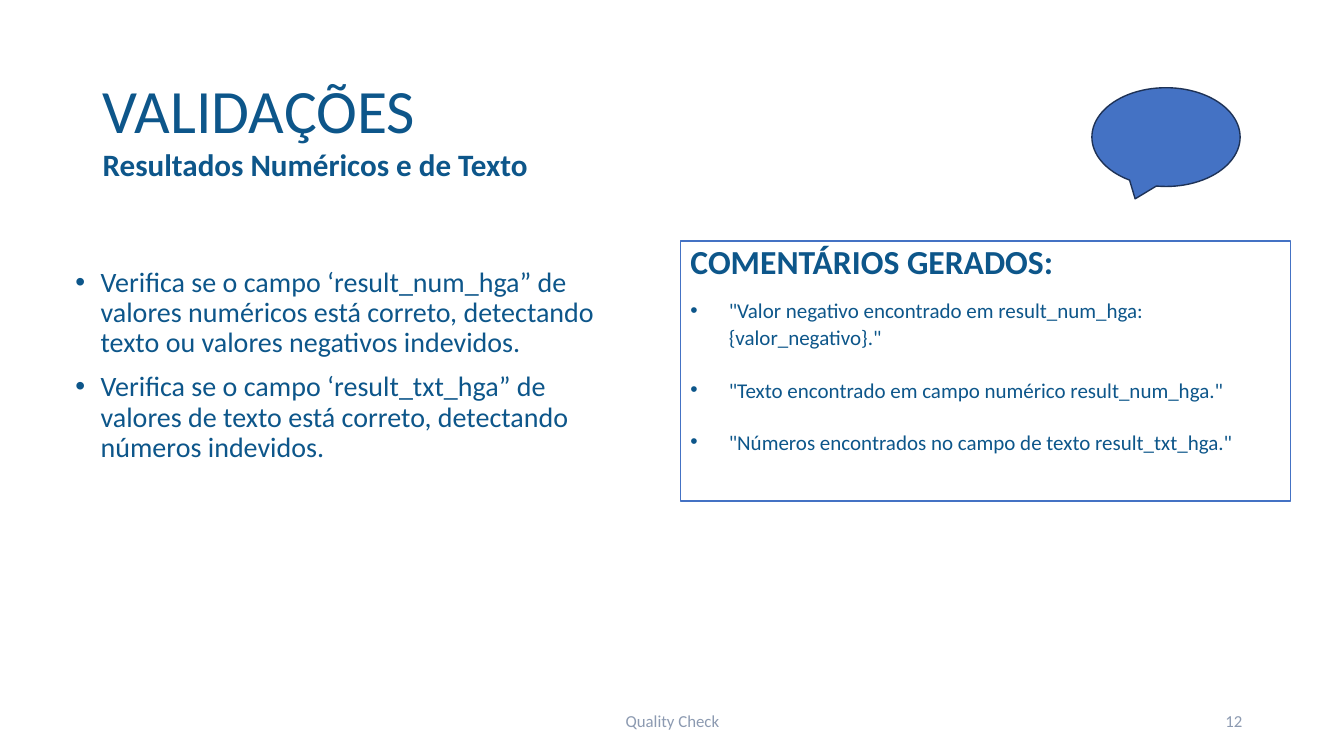
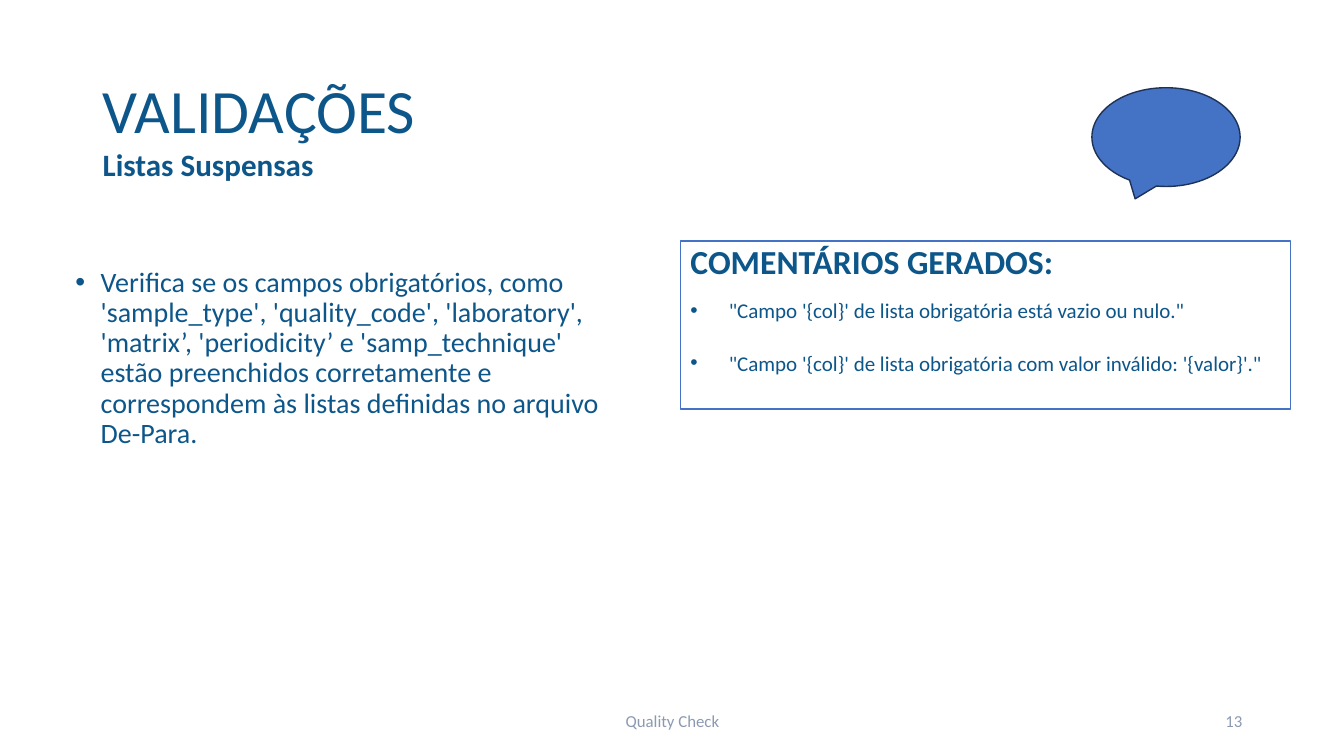
"""Build two slides on validation rules and the comments they generate."""
from dataclasses import dataclass

from lxml import etree
from pptx import Presentation
from pptx.dml.color import RGBColor
from pptx.enum import shapes, text
from pptx.oxml.ns import qn
from pptx.util import Inches, Pt


@dataclass(frozen=True)
class Theme:
    """Colours, font and type sizes shared by the slides."""
    font: str = "Calibri"
    ink: str = "0D568A"
    muted: str = "8C9AB1"
    accent: str = "4472C4"
    accent_edge: str = "1E3256"
    paper: str = "FFFFFF"
    title: float = 44
    subtitle: float = 22.2
    heading: float = 24
    body: float = 20
    comment: float = 15
    footer: float = 12


THEME = Theme()
FOOTER = "Quality Check"
FIRST_NUMBER = 12
SLIDES = [
    {
        "subtitle": "Resultados Numéricos e de Texto",
        "rules": [
            "Verifica se o campo ‘result_num_hga” de valores numéricos está correto, "
            "detectando texto ou valores negativos indevidos.",
            "Verifica se o campo ‘result_txt_hga” de valores de texto está correto, "
            "detectando números indevidos.",
        ],
        "comments": [
            '"Valor negativo encontrado em result_num_hga: {valor_negativo}."',
            '"Texto encontrado em campo numérico result_num_hga."',
            '"Números encontrados no campo de texto result_txt_hga."',
        ],
        "panel_height": 2.58,
    },
    {
        "subtitle": "Listas Suspensas",
        "rules": [
            "Verifica se os campos obrigatórios, como 'sample_type', 'quality_code', "
            "'laboratory', 'matrix’, 'periodicity’ e 'samp_technique' estão preenchidos "
            "corretamente e correspondem às listas definidas no arquivo De-Para.",
        ],
        "comments": [
            "\"Campo '{col}' de lista obrigatória está vazio ou nulo.\"",
            "\"Campo '{col}' de lista obrigatória com valor inválido: '{valor}'.\"",
        ],
        "panel_height": 1.67,
    },
]


def style(p, size, color=THEME.ink, bold=False, spacing=1.0, align=text.PP_ALIGN.LEFT):
    """Format a paragraph and its runs."""
    p.alignment = align
    p.line_spacing = spacing
    for r in p.runs:
        r.font.name = THEME.font
        r.font.size = Pt(size)
        r.font.bold = bold
        r.font.color.rgb = RGBColor.from_string(color)


def add_bullet(p, indent):
    """Give a paragraph a hanging round bullet."""
    pPr = p._p.get_or_add_pPr()
    pPr.set("marL", str(Inches(indent)))
    pPr.set("indent", str(-Inches(indent)))
    etree.SubElement(pPr, qn("a:buFont")).set("typeface", "Arial")
    etree.SubElement(pPr, qn("a:buChar")).set("char", "•")


def fill_frame(tf, lines, anchor=text.MSO_ANCHOR.TOP):
    """Write one paragraph per line and return the paragraphs."""
    tf.text = "\n".join(lines)
    tf.word_wrap = True
    tf.auto_size = text.MSO_AUTO_SIZE.NONE
    tf.vertical_anchor = anchor
    for p in tf.paragraphs[1:]:
        p.space_before = Pt(10)
    return tf.paragraphs


def add_text(s, box, lines, anchor=text.MSO_ANCHOR.TOP):
    """Add a text box and return its paragraphs."""
    sp = s.shapes.add_textbox(*map(Inches, box))
    return fill_frame(sp.text_frame, lines, anchor)


def add_shape(s, kind, box, fill, line):
    """Add a flat preset shape with a thin outline."""
    sp = s.shapes.add_shape(kind, *map(Inches, box))
    sp.shadow.inherit = False
    sp.fill.solid()
    sp.fill.fore_color.rgb = RGBColor.from_string(fill)
    sp.line.color.rgb = RGBColor.from_string(line)
    sp.line.width = Pt(1)
    return sp


def add_header(s, subtitle):
    """Place the title, the subtitle and the speech balloon."""
    sp = s.shapes.title
    sp.left, sp.top, sp.width, sp.height = map(Inches, (0.92, 0.4, 11.5, 1.45))
    p = fill_frame(sp.text_frame, ["VALIDAÇÕES"], text.MSO_ANCHOR.MIDDLE)[0]
    style(p, THEME.title, spacing=0.9)
    p = add_text(s, (0.92, 1.47, 9.8, 0.38), [subtitle], text.MSO_ANCHOR.BOTTOM)[0]
    style(p, THEME.subtitle, bold=True, spacing=0.7)
    add_shape(s, shapes.MSO_SHAPE.OVAL_CALLOUT, (10.83, 0.87, 1.47, 0.98),
              THEME.accent, THEME.accent_edge)


def add_rules(s, rules):
    """List the validation rules on the left."""
    for p in add_text(s, (0.65, 2.61, 5.64, 2.14), rules):
        add_bullet(p, 0.25)
        style(p, THEME.body, spacing=0.9)


def add_comments(s, comments, height):
    """List the generated comments in an outlined panel."""
    sp = add_shape(s, shapes.MSO_SHAPE.RECTANGLE, (6.75, 2.39, 6.05, height),
                   THEME.paper, THEME.accent)
    heading, *items = fill_frame(sp.text_frame, ["COMENTÁRIOS GERADOS:", *comments])
    style(heading, THEME.heading, bold=True, spacing=0.9)
    for p in items:
        add_bullet(p, 0.38)
        p.space_after = Pt(8)
        style(p, THEME.comment, spacing=1.07)


def add_footer(s, number):
    """Place the footer text and the slide number."""
    for left, width, label, align in (
        (4.42, 4.5, FOOTER, text.PP_ALIGN.CENTER),
        (9.42, 3, str(number), text.PP_ALIGN.RIGHT),
    ):
        p = add_text(s, (left, 6.95, width, 0.4), [label], text.MSO_ANCHOR.MIDDLE)[0]
        style(p, THEME.footer, THEME.muted, align=align)


def main():
    """Build and save the presentation."""
    prs = Presentation()
    prs.slide_width, prs.slide_height = Inches(13.33), Inches(7.5)
    layout = prs.slide_layouts.get_by_name("Title Only")
    for number, content in enumerate(SLIDES, FIRST_NUMBER):
        s = prs.slides.add_slide(layout)
        add_header(s, content["subtitle"])
        add_rules(s, content["rules"])
        add_comments(s, content["comments"], content["panel_height"])
        add_footer(s, number)
    prs.save("out.pptx")


if __name__ == "__main__":
    main()
